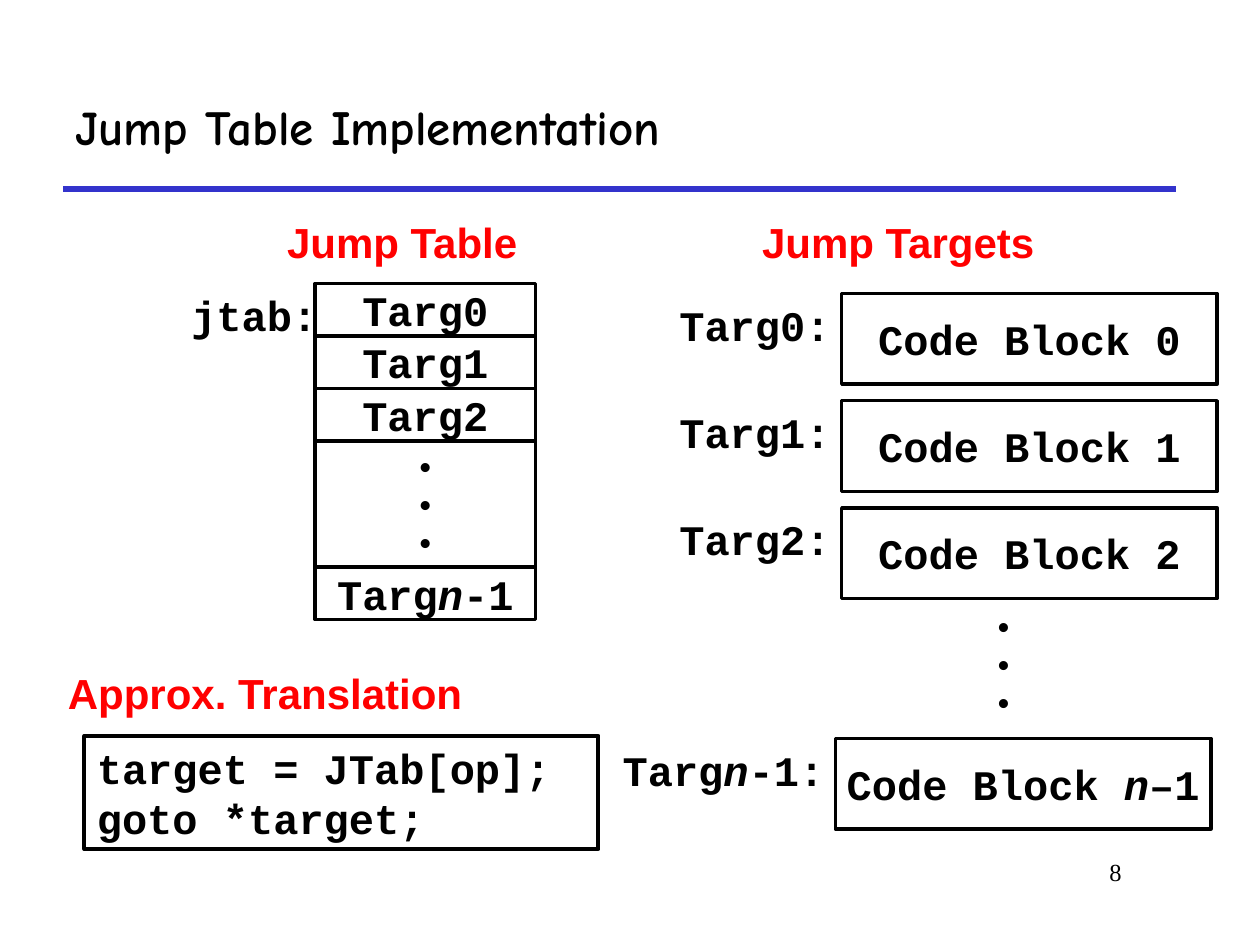
from dataclasses import dataclass

from lxml import etree
from pptx import Presentation
from pptx.dml.color import RGBColor
from pptx.enum.shapes import MSO_CONNECTOR, MSO_SHAPE
from pptx.enum.text import MSO_ANCHOR, MSO_AUTO_SIZE, PP_ALIGN
from pptx.oxml.ns import qn
from pptx.util import Inches, Pt

LEFT, CENTER, RIGHT = PP_ALIGN.LEFT, PP_ALIGN.CENTER, PP_ALIGN.RIGHT
TOP, MIDDLE = MSO_ANCHOR.TOP, MSO_ANCHOR.MIDDLE
TITLE_ONLY = 5


@dataclass(frozen=True)
class TextStyle:
    name: str
    size: int
    color: RGBColor
    bold: bool = True


@dataclass(frozen=True)
class Theme:
    ink: RGBColor = RGBColor(0, 0, 0)
    paper: RGBColor = RGBColor(255, 255, 255)
    rule: RGBColor = RGBColor(0x33, 0x33, 0xCC)
    title: TextStyle = TextStyle("Comic Neue", 28, RGBColor(0, 0, 0))
    heading: TextStyle = TextStyle("Arial", 24, RGBColor(255, 0, 0))
    code: TextStyle = TextStyle("Courier New", 24, RGBColor(0, 0, 0))
    dots: TextStyle = TextStyle("Courier New", 18, RGBColor(0, 0, 0))
    number: TextStyle = TextStyle("Times New Roman", 14, RGBColor(0, 0, 0), False)


THEME = Theme()
DOTS = [("•",)] * 3
LAST_TARGET = ("Targ", "n", "-1")


def write(shape, lines, style, align=LEFT, anchor=TOP, wrap=False):
    """Fill a shape with lines; every second span of a line is italic."""
    frame = shape.text_frame
    frame.word_wrap = wrap
    frame.auto_size = MSO_AUTO_SIZE.NONE
    frame.vertical_anchor = anchor
    for index, line in enumerate(lines):
        para = frame.add_paragraph() if index else frame.paragraphs[0]
        para.alignment = align
        font = para.font
        font.name, font.size, font.bold = style.name, Pt(style.size), style.bold
        font.color.rgb = style.color
        for position, text in enumerate(line):
            span = para.add_run()
            span.text = text
            if position % 2:
                span.font.italic = True


def add_label(shapes, box, line, style, align=LEFT):
    label = shapes.add_textbox(*map(Inches, box))
    write(label, [line], style, align)


def add_block(shapes, box, lines, style=THEME.code, align=CENTER, anchor=MIDDLE,
              line_width=2, filled=True):
    block = shapes.add_shape(MSO_SHAPE.RECTANGLE, *map(Inches, box))
    block.shadow.inherit = False
    if filled:
        block.fill.solid()
        block.fill.fore_color.rgb = THEME.paper
    else:
        block.fill.background()
    if line_width:
        block.line.color.rgb = THEME.ink
        block.line.width = Pt(line_width)
    else:
        block.line.fill.background()
    write(block, lines, style, align, anchor)


def add_header(page, left, top, width, height):
    """Title with the rule along its lower edge."""
    bottom = top + height
    rule = page.shapes.add_connector(
        MSO_CONNECTOR.STRAIGHT, Inches(left), Inches(bottom),
        Inches(left + width), Inches(bottom))
    rule.line.color.rgb = THEME.rule
    rule.line.width = Pt(3)
    etree.SubElement(rule._element.spPr, qn("a:effectLst"))

    title = page.shapes.title
    title.left, title.top = Inches(left), Inches(top)
    title.width, title.height = Inches(width), Inches(height)
    write(title, [("Jump Table Implementation",)], THEME.title, LEFT, MIDDLE, True)


def add_jump_table(page, left, top, width, row_height, dots_height):
    add_label(page.shapes, (left - 0.32, top - 0.58, 2.05, 0.5),
              ("Jump Table",), THEME.heading)
    table = page.shapes.add_group_shape().shapes
    for row in range(3):
        add_block(table, (left, top + row * row_height, width, row_height),
                  [(f"Targ{row}",)])
    dots_top = top + 3 * row_height
    last_top = dots_top + dots_height
    add_block(table, (left, last_top, width, row_height), [LAST_TARGET])
    add_block(table, (left, dots_top, width, dots_height), DOTS, THEME.dots)
    add_label(table, (left - 1.08, top, 1.2, 0.5), ("jtab:",), THEME.code)


def add_translation(page, left, top, width, height):
    add_label(page.shapes, (left - 0.23, top - 0.59, 3.35, 0.5),
              ("Approx. Translation",), THEME.heading)
    add_block(page.shapes, (left, top, width, height),
              [("target = JTab[op];",), ("goto *target;",)],
              align=LEFT, anchor=TOP, line_width=2.25, filled=False)


def add_jump_targets(page, left, top, width, height, pitch):
    """Labelled code blocks, one every pitch, then dots and the last block."""
    add_label(page.shapes, (left - 0.73, top - 0.66, 2.38, 0.5),
              ("Jump Targets",), THEME.heading)
    targets = page.shapes.add_group_shape().shapes

    def add_target(x, y, label_width, label, block):
        add_block(targets, (x, y, width, height), [block])
        add_label(targets, (x + 0.01 - label_width, y, label_width, 0.5),
                  label, THEME.code, RIGHT)

    for index in range(3):
        add_target(left, top + index * pitch, 1.4,
                   (f"Targ{index}:",), (f"Code Block {index}",))
    add_target(left - 0.05, top + 3.53, 1.8,
               ("Targ", "n", "-1:"), ("Code Block ", "n", "–1"))
    add_block(targets, (left, top + 3 * pitch, 2.57, 0.78), DOTS, THEME.dots,
              line_width=0)


def main():
    deck = Presentation()
    deck.slide_width, deck.slide_height = Inches(10), Inches(7.5)
    page = deck.slides.add_slide(deck.slide_layouts[TITLE_ONLY])
    add_header(page, 0.5, 0.5, 8.83, 1)
    add_jump_table(page, 2.5, 2.25, 1.75, 1.25 / 3, 1)
    add_translation(page, 0.67, 5.84, 4.08, 0.9)
    add_jump_targets(page, 6.68, 2.33, 2.98, 0.72, 0.85)
    add_label(page.shapes, (7.58, 6.75, 1.42, 0.5), ("8",), THEME.number, RIGHT)
    deck.save("out.pptx")


if __name__ == "__main__":
    main()
